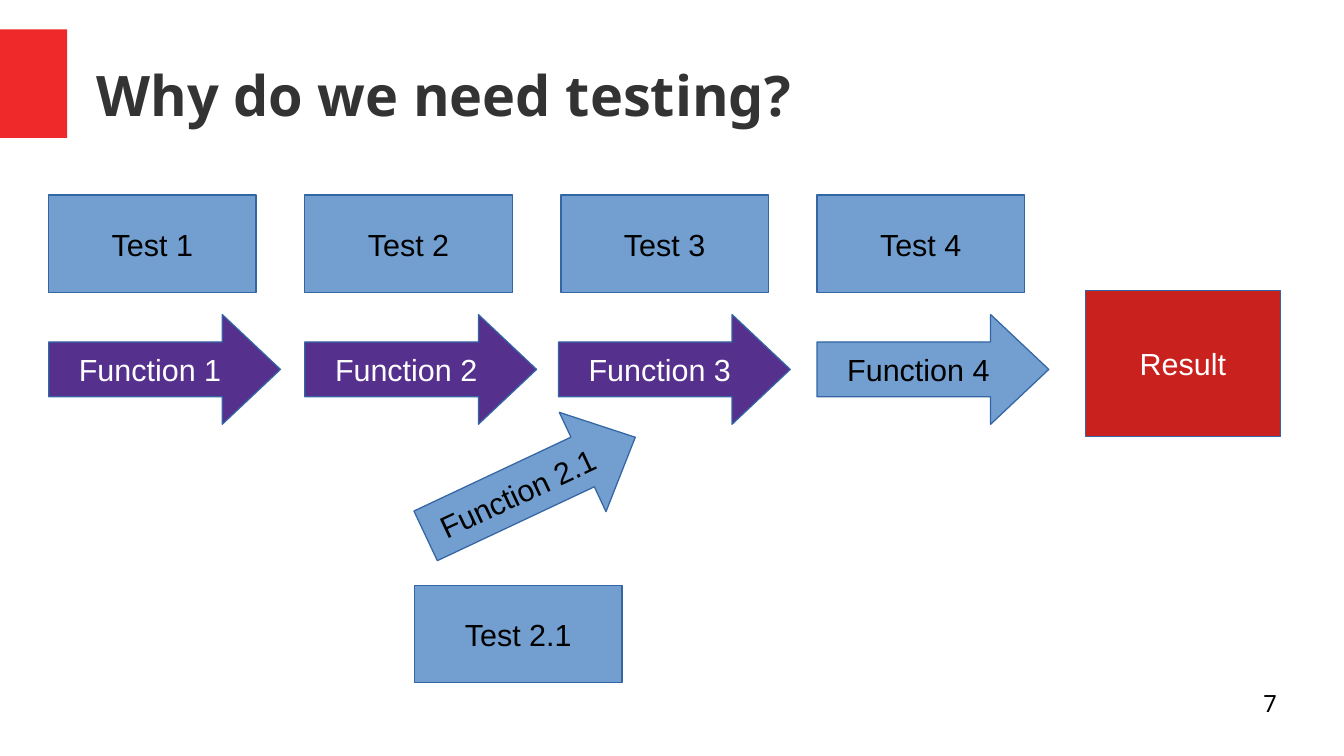
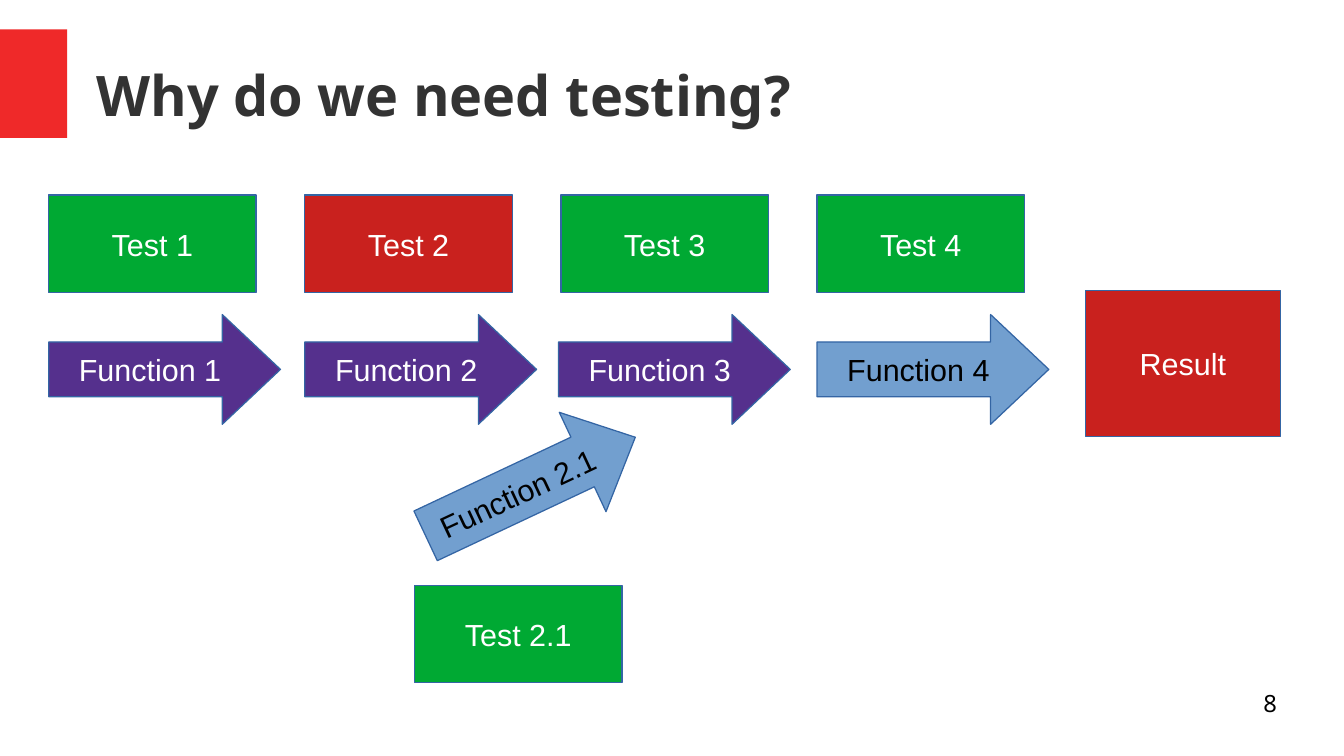
from dataclasses import dataclass

from pptx import Presentation
from pptx.dml.color import RGBColor
from pptx.enum.shapes import MSO_SHAPE
from pptx.enum.text import MSO_ANCHOR, PP_ALIGN
from pptx.slide import Slide
from pptx.text.text import TextFrame
from pptx.util import Pt

RECT, ARROW = MSO_SHAPE.RECTANGLE, MSO_SHAPE.RIGHT_ARROW
LEFT, CENTER, RIGHT = PP_ALIGN.LEFT, PP_ALIGN.CENTER, PP_ALIGN.RIGHT
TOP, MIDDLE = MSO_ANCHOR.TOP, MSO_ANCHOR.MIDDLE

COLORS = {
    "band": "EF2929", "title": "333333", "line": "3465A4",
    "blue": "729FCF", "purple": "55308D", "red": "C9211E", "green": "00A933",
    "black": "000000", "white": "FFFFFF",
}
HEAD_FONT, BODY_FONT = "Noto Sans", "Arial"

# Grid of the diagram, in points
WIDTH, HEIGHT = 793.44, 446.4
START, STEP = 28.8, 151.2
TEST_TOP, ARROW_TOP = 115.2, 185.76
TEST_SIZE = (122.4, 57.6)
ARROW_SIZE = (136.8, 64.8)
SIDE_LEFT = 244.8


@dataclass(frozen=True)
class Node:
    text: str
    fill: str
    left: float
    top: float
    size: tuple[float, float]
    kind: int = RECT
    turn: float = 0


@dataclass(frozen=True)
class Page:
    number: int
    tests: tuple[str, ...]  # fills of tests 1 to 4, then 2.1


PAGES = (
    Page(7, ("blue",) * 5),
    Page(8, ("green", "red", "green", "green", "green")),
)


def shade(name: str) -> RGBColor:
    return RGBColor.from_string(COLORS[name])


def write(frame: TextFrame, text: str, font: str, size: float, color: str,
          align: PP_ALIGN, anchor: MSO_ANCHOR, bold: bool = False) -> None:
    frame.text = text
    frame.vertical_anchor = anchor
    line = frame.paragraphs[0]
    line.alignment = align
    face = line.runs[0].font
    face.name, face.size, face.bold = font, Pt(size), bold
    face.color.rgb = shade(color)


def add_label(slide: Slide, text: str, box: tuple[float, ...], size: float,
              color: str, align: PP_ALIGN, anchor: MSO_ANCHOR,
              bold: bool = False) -> None:
    frame = slide.shapes.add_textbox(*map(Pt, box)).text_frame
    frame.word_wrap = True
    frame.margin_left = frame.margin_right = Pt(0)
    frame.margin_top = frame.margin_bottom = Pt(0)
    write(frame, text, HEAD_FONT, size, color, align, anchor, bold)


def add_frame(slide: Slide, number: int) -> None:
    """Draw the red band, the title and the page number."""
    band = slide.shapes.add_shape(RECT, Pt(0), Pt(17.28), Pt(39.6), Pt(64.08))
    band.shadow.inherit = False
    band.fill.solid()
    band.fill.fore_color.rgb = shade("band")
    band.line.fill.background()
    add_label(slide, "Why do we need testing?", (56.88, 18, 696.96, 74.88),
              33, "title", LEFT, MIDDLE, True)
    add_label(slide, str(number), (568.8, 406.8, 185.04, 30.96),
              14, "black", RIGHT, TOP)


def add_node(slide: Slide, node: Node) -> None:
    shape = slide.shapes.add_shape(
        node.kind, *map(Pt, (node.left, node.top, *node.size)))
    shape.shadow.inherit = False
    shape.rotation = node.turn
    if node.kind == ARROW:
        shape.adjustments[0], shape.adjustments[1] = 0.5, 0.53
    shape.fill.solid()
    shape.fill.fore_color.rgb = shade(node.fill)
    shape.line.color.rgb = shade("line")
    shape.line.width = Pt(0)
    shape.text_frame.word_wrap = False
    color = "black" if node.fill == "blue" else "white"
    write(shape.text_frame, node.text, BODY_FONT, 18, color, CENTER, MIDDLE)


def list_nodes(page: Page) -> list[Node]:
    *main, side = page.tests
    nodes = [
        Node("Function 2.1", "blue", SIDE_LEFT, 254.88, ARROW_SIZE, ARROW, 334.8),
        Node("Test 2.1", side, SIDE_LEFT, 345.6, TEST_SIZE),
        Node("Result", "red", 640.8, 171.36, (115.2, 86.4)),
    ]
    for i, fill in enumerate(main):
        left = START + i * STEP
        nudge = -1.44 if i == 2 else 0  # the third arrow sits a little left
        tint = "blue" if i == 3 else "purple"
        nodes += [
            Node(f"Function {i + 1}", tint, left + nudge, ARROW_TOP,
                 ARROW_SIZE, ARROW),
            Node(f"Test {i + 1}", fill, left, TEST_TOP, TEST_SIZE),
        ]
    return nodes


def main() -> None:
    deck = Presentation()
    deck.slide_width, deck.slide_height = Pt(WIDTH), Pt(HEIGHT)
    blank = deck.slide_layouts[6]
    for page in PAGES:
        slide = deck.slides.add_slide(blank)
        add_frame(slide, page.number)
        for node in list_nodes(page):
            add_node(slide, node)
    deck.save("out.pptx")


if __name__ == "__main__":
    main()
